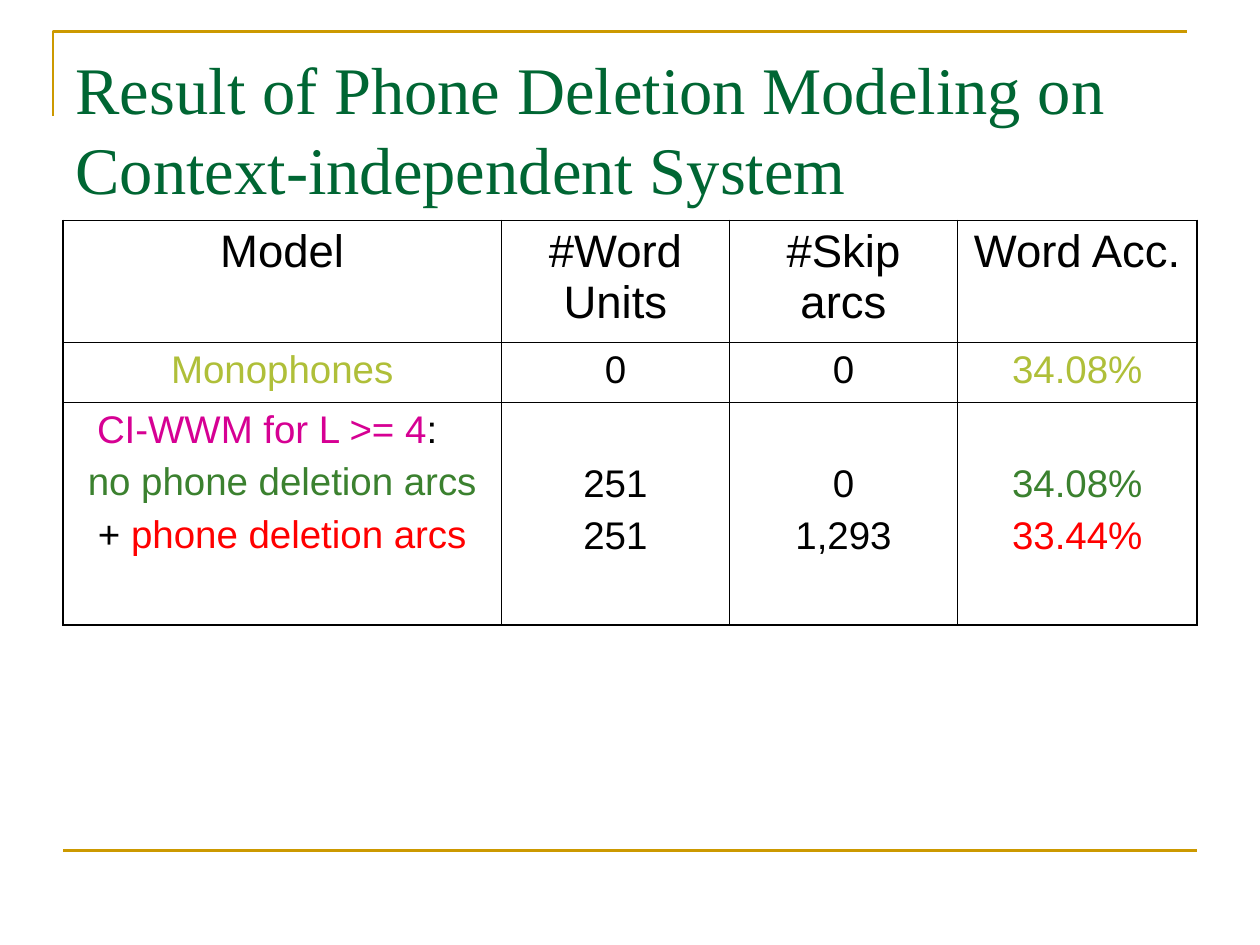
from lxml.etree import SubElement
from pptx import Presentation
from pptx.dml.color import RGBColor
from pptx.enum.shapes import MSO_CONNECTOR as CONN
from pptx.enum.text import MSO_ANCHOR as ANCHOR, MSO_AUTO_SIZE as FIT, PP_ALIGN as ALIGN
from pptx.oxml import parse_xml
from pptx.oxml.ns import nsdecls, qn
from pptx.util import Inches, Pt

COLORS = {"gold": "CC9900", "title": "006633", "black": "000000", "olive": "AFBF39",
          "pink": "D60093", "green": "3B812F", "red": "FF0000"}
TITLE = "Result of Phone Deletion Modeling on Context-independent System"
COL_WIDTHS = [3.48, 1.81, 1.81, 1.9]
ROW_HEIGHTS = [0.97, 0.47, 1.77]
FONT_SIZES = [26, 22, 22]
ROWS = [
    [[[(text, "black")]] for text in ("Model", "#Word Units", "#Skip arcs", "Word Acc.")],
    [[[("Monophones", "olive")]], [[("0", "black")]], [[("0", "black")]], [[("34.08%", "olive")]]],
    [
        [[("CI-WWM for L >= 4", "pink"), (":", "black")],
         [("no phone deletion arcs", "green")],
         [("+ ", "black"), ("phone deletion arcs", "red")]],
        [[("251", "black")], [("251", "black")]],
        [[("0", "black")], [("1,293", "black")]],
        [[("34.08%", "green")], [("33.44%", "red")]],
    ],
]
OUTER, INNER = 1.08, 0.45
LINE_STEP = 0.43


def rgb(name):
    return RGBColor.from_string(COLORS[name])


def add_run(p, text, font, size, color):
    r = p.add_run()
    r.text = text
    r.font.name, r.font.size = font, Pt(size)
    r.font.color.rgb = rgb(color)


def set_border(cell, sides):
    tc_pr = cell._tc.get_or_add_tcPr()
    for i, (side, width) in enumerate(sides.items()):
        tc_pr.insert(i, parse_xml(
            f'<a:ln{side} {nsdecls("a")} w="{Pt(width)}"><a:solidFill>'
            f'<a:srgbClr val="{COLORS["black"]}"/></a:solidFill></a:ln{side}>'))


def fill_cell(cell, paragraphs, size):
    tf = cell.text_frame
    for i, runs in enumerate(paragraphs):
        p = tf.add_paragraph() if i else tf.paragraphs[0]
        p.alignment = ALIGN.CENTER
        if i:
            p.space_before = Pt(size / 4)
        for text, color in runs:
            add_run(p, text, "Arial", size, color)


prs = Presentation()
prs.slide_width, prs.slide_height = Inches(10), Inches(7.5)
s = prs.slides.add_slide(prs.slide_layouts[5])

fb = s.shapes.build_freeform(Inches(0.42), Inches(0.92))
fb.add_line_segments([(Inches(0.42), Inches(0.25)), (Inches(9.42), Inches(0.25))], close=False)
corner = fb.convert_to_shape()
corner.shadow.inherit = False
corner.fill.background()
rule = s.shapes.add_connector(CONN.STRAIGHT, Inches(0.5), Inches(6.75), Inches(9.5), Inches(6.75))
SubElement(rule._element.spPr, qn("a:effectLst"))
for sp in (corner, rule):
    sp.line.color.rgb = rgb("gold")
    sp.line.width = Pt(1.5)

title = s.shapes.title
title.left, title.top, title.width, title.height = map(Inches, (0.5, 0.3, 9, 1.25))
tf = title.text_frame
tf.word_wrap, tf.auto_size, tf.vertical_anchor = True, FIT.NONE, ANCHOR.TOP
tf.margin_top = Inches(0.08)
p = tf.paragraphs[0]
p.alignment = ALIGN.LEFT
p.line_spacing = Pt(45.7)
add_run(p, TITLE, "Times New Roman", 38, "title")

last_row, last_col = len(ROWS) - 1, len(COL_WIDTHS) - 1
table = s.shapes.add_table(len(ROWS), len(COL_WIDTHS), Inches(0.5), Inches(1.75),
                           Inches(sum(COL_WIDTHS)), Inches(sum(ROW_HEIGHTS))).table
table.first_row = table.horz_banding = False
for col, width in zip(table.columns, COL_WIDTHS):
    col.width = Inches(width)
for i, cells in enumerate(ROWS):
    table.rows[i].height = Inches(ROW_HEIGHTS[i])
    most = max(map(len, cells))
    for j, paragraphs in enumerate(cells):
        cell = table.cell(i, j)
        cell.fill.background()
        cell.margin_top = Inches(0.05 + LINE_STEP * (most - len(paragraphs)))
        fill_cell(cell, paragraphs, FONT_SIZES[i])
        set_border(cell, {"L": INNER if j else OUTER,
                          "R": OUTER if j == last_col else INNER,
                          "T": INNER if i else OUTER,
                          "B": OUTER if i == last_row else INNER})

p = table.cell(last_row, 0).text_frame.paragraphs[0]
p.alignment = ALIGN.LEFT
p._p.get_or_add_pPr().set("marL", str(Inches(0.17)))

prs.save("out.pptx")
